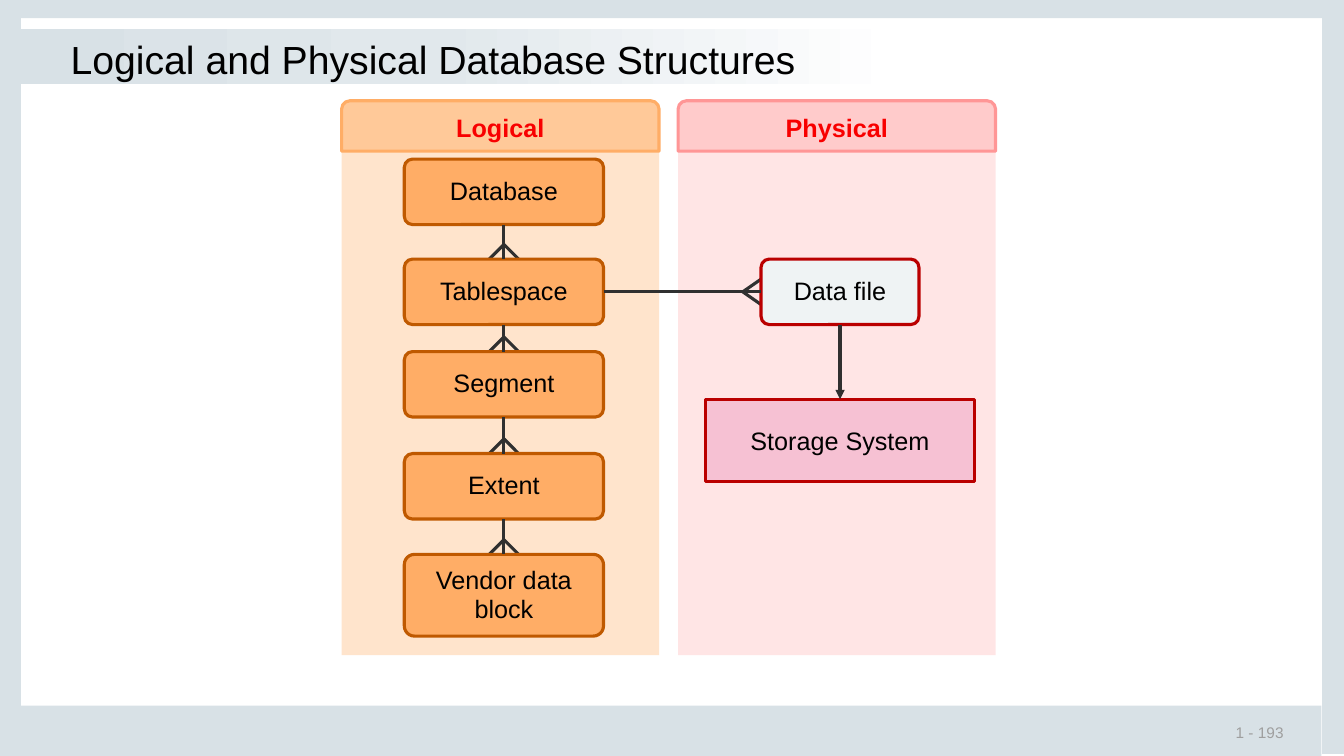
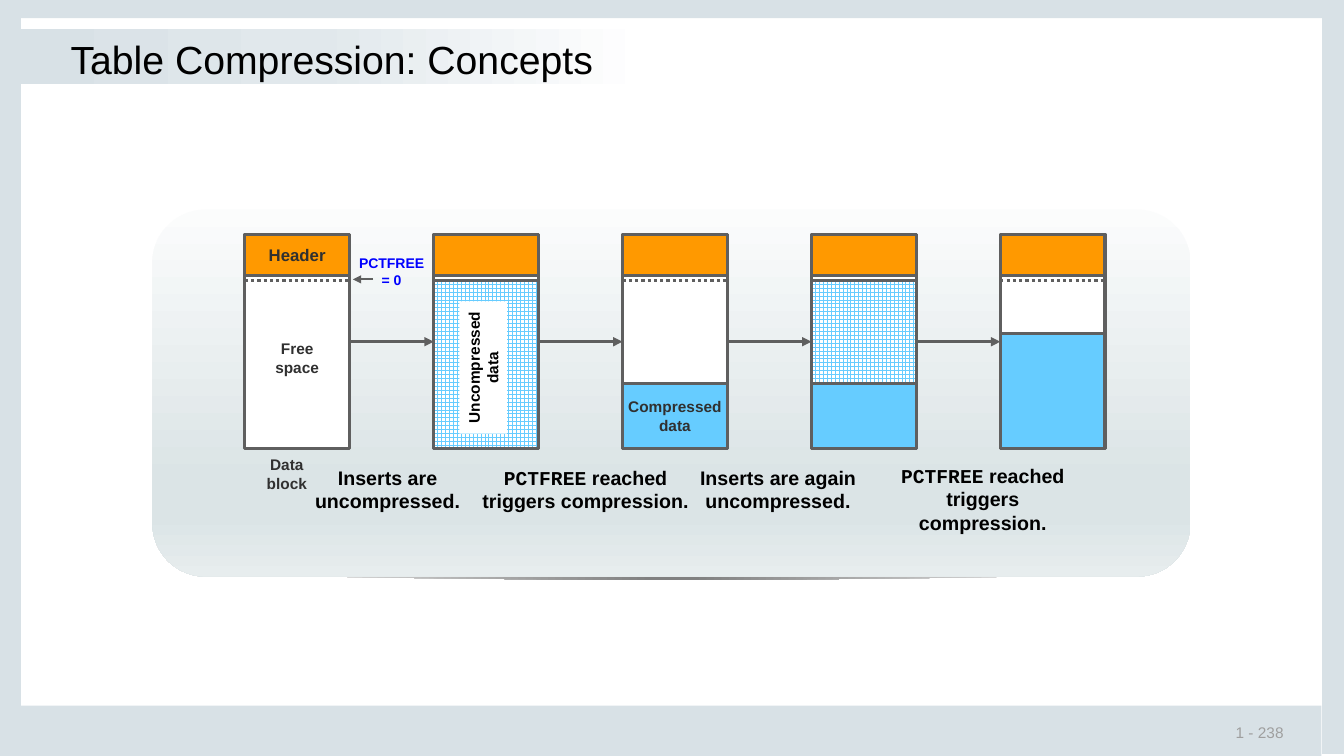
import copy
import pptx
import pptx.util
import pptx.dml.color
import pptx.enum.dml
import pptx.enum.shapes
import pptx.enum.text
import pptx.oxml
import pptx.oxml.ns

Cm = pptx.util.Cm
Pt = pptx.util.Pt
Shape = pptx.enum.shapes.MSO_SHAPE
Align = pptx.enum.text.PP_ALIGN
Anchor = pptx.enum.text.MSO_ANCHOR


class Theme:
    font, mono = "Arial", "Courier New"
    black, white, dark, line = "000000", "FFFFFF", "303030", "5F5F5F"
    band, page, red, blue = "D8E1E6", "9F9F9F", "F80000", "0000FF"
    fade = [(0, "D8E1E6"), (47, "E1E8EC"), (100, "FFFFFF")]
    card = [(0, "FBFCFC"), (74, "DBE4E6"), (83, "DBE4E6"), (100, "E7EDEE")]
    shade = [(4, "808080"), (100, "FFFFFF")]
    orange, brown = "FFAD66", "BF5900"
    pale, rose, crimson = "EFF3F4", "F6C1D3", "BA0000"
    header, solid = "FF9900", "66CCFF"
    head, body, note, free, small, tiny = 28, 18, 14, 12, 11, 10
    thick, thin = 2.25, 1.5


BANDS = [(33.32, 0, 0.55, 19), (0, 0, 0.53, 19.05), (0, 17.78, 33.3, 1.27), (0, 0, 33.87, 0.46)]

PANELS = [
    ("Logical", 8.61, "FFE4CC", "FFC999", "FFAD66"),
    ("Physical", 17.09, "FFE5E5", "FFCBCB", "FF9696"),
]
LEVELS = [
    ("Database", 4.01, 1.65),
    ("Tablespace", 6.53, 1.65),
    ("Segment", 8.86, 1.65),
    ("Extent", 11.43, 1.65),
    ("Vendor data\vblock", 13.97, 2.06),
]

BLOCKS = [
    [],
    [("grid", 7.06, 11.3, "")],
    [("solid", 9.67, 11.3, "Compressed\vdata")],
    [("solid", 9.67, 11.3, ""), ("grid", 7.06, 9.67, "")],
    [("solid", 8.41, 11.3, "")],
]
NOTES = [
    (9.77, 11.61, 4.6, "", "Inserts are\vuncompressed."),
    (14.76, 11.61, 6, "PCTFREE", " reached\vtriggers compression."),
    (19.61, 11.61, 5.2, "", "Inserts are again\vuncompressed."),
    (24.77, 11.56, 5.2, "PCTFREE", " reached\vtriggers compression."),
]
LABELS = [
    (7.23, 11.35, "Data block", Theme.small, Theme.dark),
    (7.49, 8.43, "Free\vspace", Theme.small, Theme.dark),
    (9.87, 6.3, "PCTFREE\v= 0", Theme.tiny, Theme.blue),
]


def rgb(code):
    return pptx.dml.color.RGBColor.from_string(code)


def style(item, color, width=Theme.thick):
    item.line.color.rgb = rgb(color)
    item.line.width = Pt(width)


def write(item, text, size, color=Theme.black, bold=False, align=Align.CENTER,
          wrap=True, lead="", space=None):
    frame = item.text_frame
    frame.word_wrap = wrap
    para = frame.paragraphs[0]
    para.text = text
    para.alignment = align
    para.line_spacing = space
    for run in para.runs:
        run.font.name = Theme.font
        run.font.size = Pt(size)
        run.font.bold = bold
        run.font.color.rgb = rgb(color)
    if lead:
        first = para.runs[0]._r
        first.addprevious(copy.deepcopy(first))
        para.runs[0].text = lead
        para.runs[0].font.name = Theme.mono


def inset(item, wide, high):
    frame = item.text_frame
    frame.margin_left = frame.margin_right = Cm(wide)
    frame.margin_top = frame.margin_bottom = Cm(high)


def box(slide, left, top, width, height, fill=None, line=None, kind=Shape.RECTANGLE):
    item = slide.shapes.add_shape(kind, Cm(left), Cm(top), Cm(width), Cm(height))
    item.shadow.inherit = False
    if fill:
        item.fill.solid()
        item.fill.fore_color.rgb = rgb(fill)
    if line:
        style(item, line)
    else:
        item.line.fill.background()
    inset(item, 0.13, 0.13)
    item.text_frame.vertical_anchor = Anchor.MIDDLE
    return item


def blend(item, stops, way):
    marks = "".join(f'<a:gs pos="{pos * 1000}"><a:srgbClr val="{code}"/></a:gs>' for pos, code in stops)
    space = pptx.oxml.ns.nsdecls("a")
    grad = f"<a:gradFill {space}><a:gsLst>{marks}</a:gsLst>{way}</a:gradFill>"
    item._element.spPr[1].addnext(pptx.oxml.parse_xml(grad))


def slant(angle):
    return f'<a:lin ang="{angle * 60000}" scaled="0"/>'


def trace(slide, points, close=False):
    spots = [(Cm(x), Cm(y)) for x, y in points]
    pen = slide.shapes.build_freeform(*spots[0], scale=1.0)
    pen.add_line_segments(spots[1:], close=close)
    item = pen.convert_to_shape()
    item.shadow.inherit = False
    return item


def foot(slide, points):
    item = trace(slide, points)
    item.fill.background()
    style(item, Theme.dark)


def rule(slide, start, end, color, width=Theme.thick, arrow=False):
    item = slide.shapes.add_connector(
        pptx.enum.shapes.MSO_CONNECTOR.STRAIGHT, *[Cm(n) for n in start + end])
    style(item, color, width)
    props = item._element.spPr
    if arrow:
        pptx.oxml.ns.qn("a:ln")
        tail = pptx.oxml.parse_xml(f'<a:tailEnd {pptx.oxml.ns.nsdecls("a")} type="triangle"/>')
        props.find(pptx.oxml.ns.qn("a:ln")).append(tail)
    props.append(pptx.oxml.parse_xml(f'<a:effectLst {pptx.oxml.ns.nsdecls("a")}/>'))
    return item


def join(slide, first, side, last, port, color, arrow=False):
    item = rule(slide, (0, 0), (1, 1), color, arrow=arrow)
    item.begin_connect(first, side)
    item.end_connect(last, port)


def label(slide, mid, top, width, text, size, **look):
    item = slide.shapes.add_textbox(Cm(mid - width / 2), Cm(top), Cm(width), Cm(1.2))
    write(item, text, size, bold=True, **look)


def start(deck, title, fade, page):
    slide = deck.slides.add_slide(deck.slide_layouts[6])
    for band in BANDS:
        box(slide, *band, fill=Theme.band)
    foot_box = slide.shapes.add_textbox(Cm(30.81), Cm(18.21), Cm(2.5), Cm(0.51))
    inset(foot_box, 0.33, 0)
    foot_box.text_frame.vertical_anchor = Anchor.MIDDLE
    write(foot_box, page, Theme.small, Theme.page, align=Align.LEFT)
    blend(box(slide, 0.51, 0.74, fade, 1.37), Theme.fade, slant(0))
    head = slide.shapes.add_textbox(Cm(1.73), Cm(0.84), Cm(30.4), Cm(1.3))
    inset(head, 0.05, 0.05)
    write(head, title, Theme.head, align=Align.LEFT)
    return slide


def node(slide, text, left, top, width, height, fill, line):
    item = box(slide, left, top, width, height, fill, line, Shape.ROUNDED_RECTANGLE)
    item.adjustments[0] = 0.125
    write(item, text, Theme.body, wrap=False, space=0.95)
    return item


def draw_levels(deck):
    slide = start(deck, "Logical and Physical Database Structures", 22.23, "1 - 193")
    for name, left, back, fill, line in PANELS:
        box(slide, left, 2.95, 8, 13.56, back)
        top = box(slide, left, 2.54, 8, 1.27, fill, line, Shape.ROUND_2_SAME_RECTANGLE)
        write(top, name, Theme.body, Theme.red, bold=True)
    mid, width, reach = 12.7, 5.02, 0.62
    nodes = []
    for text, top, height in LEVELS:
        if nodes:
            tip = top - 0.37
            foot(slide, [(mid - reach, tip + reach), (mid, tip), (mid + reach, tip + reach)])
        nodes.append(node(slide, text, mid - width / 2, top, width, height, Theme.orange, Theme.brown))
    for upper, lower in zip(nodes, nodes[1:]):
        join(slide, upper, 2, lower, 0, Theme.dark)
    left, top, height = 19.18, 6.53, 1.65
    row = top + height / 2
    foot(slide, [(left, row - 0.32), (left - 0.46, row), (left, row + 0.32)])
    data = node(slide, "Data file", left, top, 3.98, height, Theme.pale, Theme.crimson)
    store = box(slide, 17.78, 10.06, 6.78, 2.08, Theme.rose, Theme.crimson)
    write(store, "Storage System", Theme.body)
    join(slide, nodes[1], 3, data, 1, Theme.dark)
    join(slide, data, 2, store, 0, Theme.dark, arrow=True)


def draw_card(slide):
    mid, half, top, deep = 16.93, 12.48, 14.45, 0.16
    steps = [n / 10 for n in range(10, -11, -1)]
    curve = [(mid + half * u, top + deep * (1 - u * u)) for u in steps]
    shade = trace(slide, curve, close=True)
    shade.line.fill.background()
    blend(shade, Theme.shade, '<a:path path="circle"><a:fillToRect l="50000" t="50000" r="50000" b="50000"/></a:path>')
    card = box(slide, 3.84, 5.28, 26.16, 9.25, kind=Shape.ROUNDED_RECTANGLE)
    card.adjustments[0] = 0.145
    blend(card, Theme.card, slant(90))


def draw_block(slide, left, layers, name):
    width, top, mark = 2.64, 5.92, 7.06
    block = box(slide, left, top, width, 5.38, Theme.white, Theme.line)
    head = box(slide, left, top, width, 1.02, Theme.header, Theme.line)
    if name:
        write(head, name, Theme.free, Theme.dark, bold=True, wrap=False)
    for kind, high, low, text in layers:
        layer = box(slide, left, high, width, low - high, Theme.solid, Theme.line)
        if kind == "grid":
            layer.fill.patterned()
            layer.fill.pattern = pptx.enum.dml.MSO_PATTERN.LARGE_GRID
            layer.fill.fore_color.rgb = rgb(Theme.solid)
            layer.fill.back_color.rgb = rgb(Theme.white)
        if text:
            write(layer, text, Theme.small, Theme.dark, bold=True, wrap=False)
    if not any(layer[0] == "grid" for layer in layers):
        dots = rule(slide, (left, mark), (left + width, mark), Theme.line)
        dots.line.dash_style = pptx.enum.dml.MSO_LINE.ROUND_DOT
    return block


def draw_blocks(deck):
    slide = start(deck, "Table Compression: Concepts", 15.8, "1 - 238")
    draw_card(slide)
    blocks = [draw_block(slide, 6.17 + 4.76 * n, layers, "" if n else "Header")
              for n, layers in enumerate(BLOCKS)]
    side = box(slide, 10.51, 8.66, 3.33, 1.2, Theme.white)
    side.rotation = 270
    write(side, "Uncompressed\vdata", Theme.small, bold=True, wrap=False)
    for first, last in zip(blocks, blocks[1:]):
        join(slide, first, 3, last, 1, Theme.line, arrow=True)
    rule(slide, (9.4, 7.04), (8.89, 7.04), Theme.line, Theme.thin, arrow=True)
    for mid, top, width, lead, text in NOTES:
        label(slide, mid, top, width, text, Theme.note, lead=lead)
    for mid, top, text, size, color in LABELS:
        label(slide, mid, top, 2.4, text, size, color=color, wrap=False)


def main():
    deck = pptx.Presentation()
    deck.slide_width, deck.slide_height = Cm(33.87), Cm(19.05)
    draw_levels(deck)
    draw_blocks(deck)
    deck.save("out.pptx")


if __name__ == "__main__":
    main()
